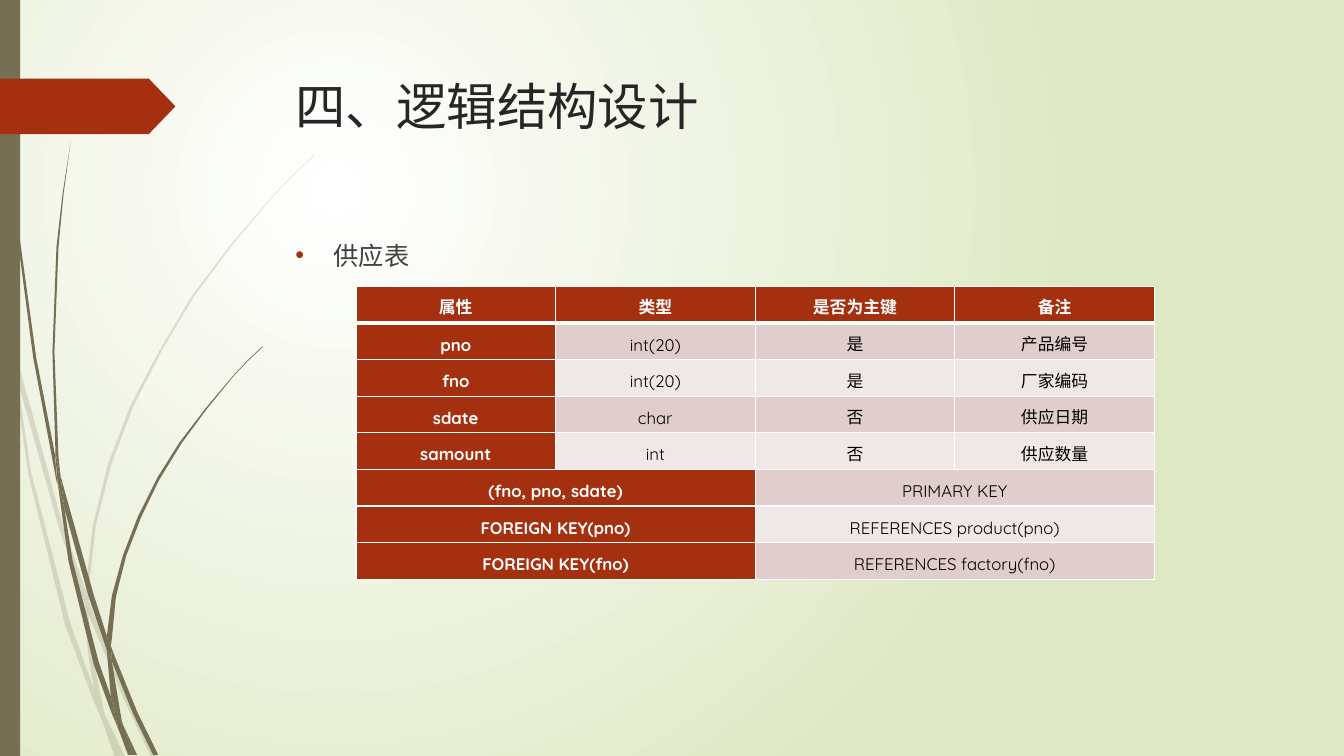
from lxml import etree
from pptx import Presentation
from pptx.dml.color import RGBColor
from pptx.enum.shapes import MSO_SHAPE
from pptx.enum.text import MSO_ANCHOR, MSO_AUTO_SIZE, PP_ALIGN
from pptx.oxml import parse_xml
from pptx.oxml.ns import qn
from pptx.util import Inches, Pt

RECT, ARROW = MSO_SHAPE.RECTANGLE, MSO_SHAPE.PENTAGON
TOP, MIDDLE = MSO_ANCHOR.TOP, MSO_ANCHOR.MIDDLE
LEFT, CENTER = PP_ALIGN.LEFT, PP_ALIGN.CENTER
FIXED = MSO_AUTO_SIZE.NONE

FONT = "Quicksand"
HUES = {"stem": "766F54", "red": "A53010", "white": "FFFFFF", "green": "DFE8C4",
        "title": "262626", "body": "404040", "black": "000000",
        "dark": "E1CDCC", "light": "F0E8E7"}

TITLE = "四、逻辑结构设计"
TOPIC = "供应表"
ROWS = [
    ("属性", "类型", "是否为主键", "备注"),
    ("pno", "int(20)", "是", "产品编号"),
    ("fno", "int(20)", "是", "厂家编码"),
    ("sdate", "char", "否", "供应日期"),
    ("samount", "int", "否", "供应数量"),
    ("(fno, pno, sdate)", "PRIMARY KEY"),
    ("FOREIGN KEY(pno)", "REFERENCES product(pno)"),
    ("FOREIGN KEY(fno)", "REFERENCES factory(fno)"),
]

PALE = [
    [(0.11, 3.5), (0.09, 3.22), (0, 2.82), (0, 2.99), (0.1, 3.44)],
    [(0.58, 5.22), (0.84, 5.99), (0.85, 5.86), (0.62, 5.2), (0.14, 3.45), (0.17, 3.76)],
    [(0.92, 6.07), (0.88, 5.96), (0.88, 6.1), (1.23, 6.94), (1.5, 7.51), (1.55, 7.51),
     (1.27, 6.92)],
    [(1.19, 7.51), (1.24, 7.51), (1.05, 7.11)],
    [(0.93, 6.83), (0.7, 6.19), (0.31, 4.69), (0.17, 3.76), (0.11, 3.5), (0.28, 4.7),
     (0.65, 6.21), (0.92, 6.93), (1.01, 7.14), (0.99, 7.07)],
    [(0.84, 5.99), (0.87, 6.46), (0.93, 6.83), (0.96, 6.92), (1.05, 7.11), (1.03, 7.06),
     (0.91, 6.46), (0.88, 6.1), (0.88, 6.08)],
    [(0.88, 5.84), (0.95, 5.22), (1.1, 4.62), (1.32, 4.04), (1.6, 3.49), (1.92, 2.95),
     (2.29, 2.45), (2.68, 1.98), (2.9, 1.75), (3.12, 1.54), (3.12, 1.53), (2.89, 1.75),
     (2.68, 1.97), (2.28, 2.44), (1.9, 2.94), (1.58, 3.48), (1.29, 4.03), (1.07, 4.61),
     (0.92, 5.22), (0.85, 5.84), (0.85, 5.86), (0.88, 5.96)],
    [(1.01, 7.14), (1.14, 7.51), (1.19, 7.51)],
    [(0.88, 6.08), (0.88, 6.1), (0.88, 5.96), (0.85, 5.86), (0.84, 5.99)],
    [(0.96, 6.92), (0.93, 6.83), (0.99, 7.07), (1.01, 7.14), (1.19, 7.51), (1.05, 7.11)],
]
DEEP = [
    [(0.07, 1.1), (0.17, 2.33), (0.33, 3.55), (0.56, 4.77), (0.57, 4.81), (0.55, 4.57),
     (0.55, 4.53), (0.36, 3.55), (0.19, 2.32), (0.08, 1.09), (0.05, 0.48), (0.04, 0),
     (0.03, 0), (0.04, 0.48)],
    [(0.88, 5.92), (1.06, 6.45), (1.06, 6.33), (1.06, 6.31), (0.93, 5.9), (0.6, 4.72),
     (0.64, 5.05)],
    [(1.13, 6.49), (1.1, 6.41), (1.11, 6.56), (1.32, 7.08), (1.52, 7.49), (1.57, 7.49),
     (1.36, 7.06)],
    [(1.1, 6.91), (0.98, 6.57), (0.72, 5.56), (0.64, 5.05), (0.57, 4.77), (0.68, 5.57),
     (0.93, 6.59), (1.11, 7.08), (1.17, 7.22), (1.16, 7.17)],
    [(0.6, 4.72), (0.58, 4.53), (0.54, 3.49), (0.58, 2.45), (0.63, 1.93), (0.7, 1.41),
     (0.62, 1.93), (0.56, 2.45), (0.52, 3.49), (0.55, 4.49)],
    [(1.33, 7.49), (1.36, 7.49), (1.22, 7.19)],
    [(0.57, 4.77), (0.64, 5.05), (0.6, 4.72), (0.55, 4.49), (0.55, 4.53)],
    [(1.11, 6.33), (1.15, 5.92), (1.25, 5.52), (1.4, 5.13), (1.58, 4.76), (1.8, 4.4),
     (2.05, 4.06), (2.31, 3.74), (2.45, 3.59), (2.61, 3.44), (2.6, 3.44), (2.45, 3.58),
     (2.31, 3.73), (2.04, 4.05), (1.78, 4.39), (1.56, 4.74), (1.37, 5.12), (1.22, 5.51),
     (1.11, 5.91), (1.06, 6.31), (1.1, 6.41)],
    [(1.17, 7.22), (1.27, 7.49), (1.31, 7.49)],
    [(1.06, 6.45), (1.1, 6.91), (1.16, 7.06), (1.22, 7.19), (1.21, 7.16), (1.11, 6.56),
     (1.09, 6.51)],
    [(1.06, 6.45), (1.09, 6.51), (1.11, 6.56), (1.1, 6.41), (1.06, 6.31), (1.06, 6.33)],
    [(1.16, 7.06), (1.1, 6.91), (1.16, 7.17), (1.17, 7.22), (1.3, 7.49), (1.33, 7.49),
     (1.22, 7.19)],
]


def ink(key):
    return RGBColor.from_string(HUES[key])


def apply(obj, form):
    for name, value in form.items():
        setattr(obj, name, value)


def place(shape, box):
    apply(shape, dict(zip(("left", "top", "width", "height"), map(Inches, box))))


def write(frame, text, size, hue, bold=False, **form):
    frame.text = text
    para = frame.paragraphs[0]
    apply(para, form)
    font = para.runs[0].font
    apply(font, {"name": FONT, "size": Pt(size), "bold": bold})
    font.color.rgb = ink(hue)
    return para


def paint(shape, hue):
    shape.shadow.inherit = False
    shape.fill.solid()
    shape.fill.fore_color.rgb = ink(hue)
    shape.line.fill.background()


def blade(shapes, knots, alpha):
    spots = [(Inches(x), Inches(y)) for x, y in knots]
    pen = shapes.build_freeform(*spots[0])
    pen.add_line_segments(spots[1:], close=True)
    shape = pen.convert_to_shape()
    paint(shape, "stem")
    if alpha < 100:
        tone = shape._element.spPr.find(".//" + qn("a:srgbClr"))
        etree.SubElement(tone, qn("a:alpha"), val=str(alpha * 1000))


def border(cell, row):
    props = cell._tc.get_or_add_tcPr()
    for side in "LRTB":
        thick = (row, side) in ((0, "B"), (1, "T"))
        line = etree.SubElement(props, qn("a:ln" + side), w=str(Pt(3 if thick else 1)))
        fill = etree.SubElement(line, qn("a:solidFill"))
        etree.SubElement(fill, qn("a:srgbClr"), val=HUES["white"])


def backdrop(slide):
    slide.background.fill.solid()
    solid = slide._element.find(".//" + qn("a:solidFill"))
    stops = "".join(f'<a:gs pos="{pos}"><a:srgbClr val="{HUES[key]}"/></a:gs>'
                    for pos, key in ((0, "white"), (100000, "green")))
    solid.getparent().replace(solid, parse_xml(
        '<a:gradFill xmlns:a="http://schemas.openxmlformats.org/drawingml/2006/main">'
        f'<a:gsLst>{stops}</a:gsLst><a:path path="circle">'
        '<a:fillToRect l="50000" t="50000" r="100000" b="100000"/></a:path></a:gradFill>'))


def grid(shapes):
    table = shapes.add_table(len(ROWS), 4, Inches(3.53), Inches(2.84),
                             Inches(7.92), Inches(2.91)).table
    for r, row in enumerate(ROWS):
        span = 4 // len(row)
        for c in range(4):
            border(table.cell(r, c), r)
        for i, text in enumerate(row):
            cell = table.cell(r, i * span)
            if span > 1:
                cell.merge(table.cell(r, i * span + span - 1))
            head = r == 0 or i == 0
            cell.fill.solid()
            cell.fill.fore_color.rgb = ink("red" if head else "dark" if r % 2 else "light")
            apply(cell, {"vertical_anchor": MIDDLE, "margin_left": Inches(0.07),
                         "margin_right": Inches(0.07), "margin_top": 0, "margin_bottom": 0})
            write(cell.text_frame, text, 12, "white" if head else "black", head,
                  alignment=CENTER, line_spacing=Pt(20))


def main():
    deck = Presentation()
    apply(deck, {"slide_width": Inches(13.33), "slide_height": Inches(7.5)})
    slide = deck.slides.add_slide(deck.slide_layouts[1])
    shapes = slide.shapes
    title, body = slide.placeholders
    backdrop(slide)
    for tuft, alpha in ((PALE, 20), (DEEP, 100)):
        for knots in tuft:
            blade(shapes, knots, alpha)
    for kind, box, hue in ((RECT, (0, 0, 0.2, 7.5), "stem"),
                           (ARROW, (0, 0.78, 1.74, 0.55), "red")):
        shape = shapes.add_shape(kind, *map(Inches, box))
        paint(shape, hue)
    shape.adjustments[0] = 0.48

    for holder, box in ((title, (2.83, 0.69, 9.75, 1.4)), (body, (2.83, 2.33, 9.75, 4.13))):
        place(holder, box)
        apply(holder.text_frame, {"vertical_anchor": TOP, "auto_size": FIXED,
                                  "word_wrap": True})
        shapes._spTree.append(holder._element)
    write(title.text_frame, TITLE, 36, "title", alignment=LEFT)
    para = write(body.text_frame, TOPIC, 18, "body", alignment=LEFT, space_before=Pt(10))
    props = para._p.get_or_add_pPr()
    props.set("marL", str(Inches(0.38)))
    props.set("indent", str(-Inches(0.38)))
    tone = etree.SubElement(props, qn("a:buClr"))
    etree.SubElement(tone, qn("a:srgbClr"), val=HUES["red"])
    etree.SubElement(props, qn("a:buFont"), typeface="Arial")
    etree.SubElement(props, qn("a:buChar"), char="•")
    grid(shapes)
    deck.save("out.pptx")


if __name__ == "__main__":
    main()
